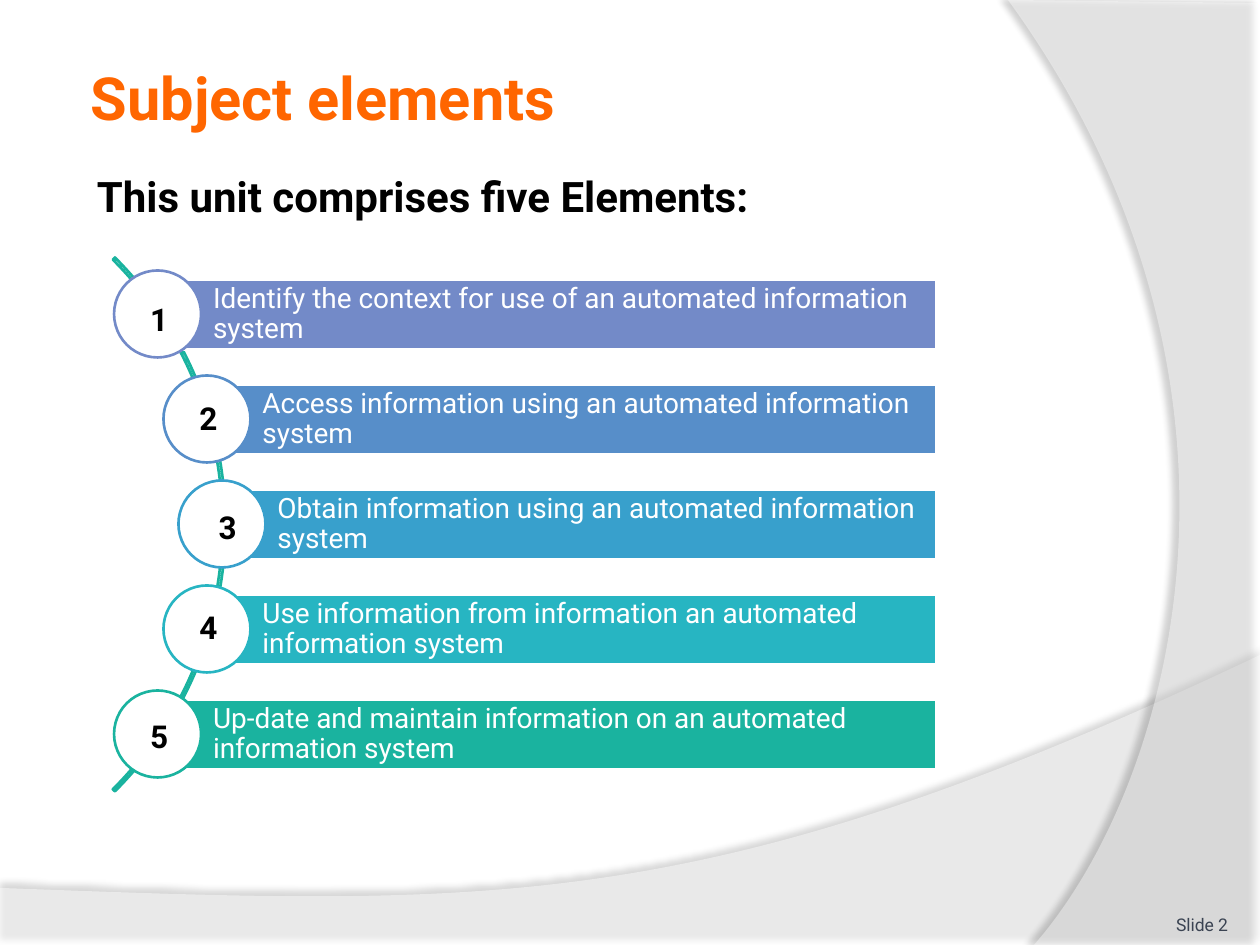
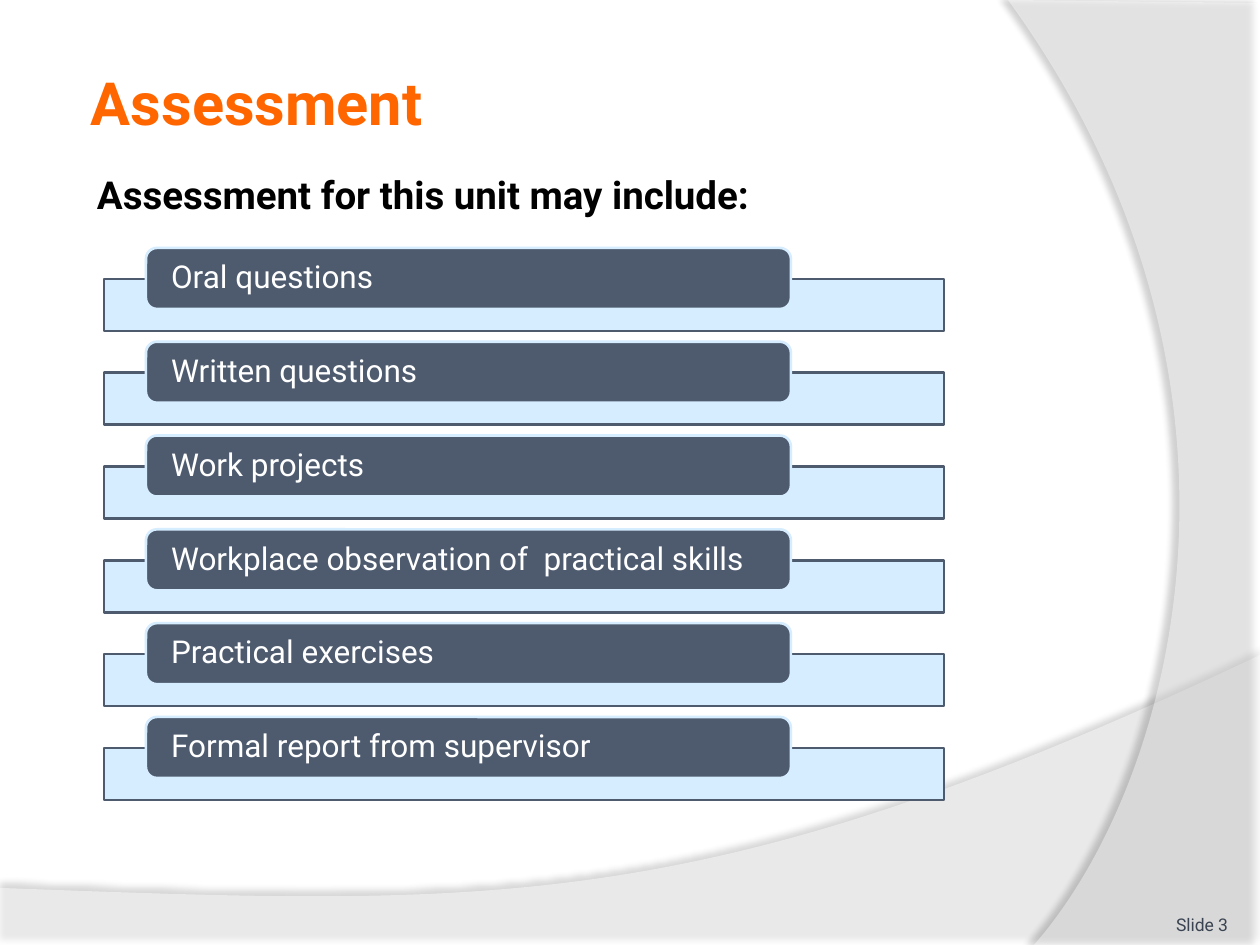
from math import sqrt

from lxml.etree import SubElement
from pptx import Presentation
from pptx.dml.color import RGBColor
from pptx.enum.shapes import MSO_SHAPE as Kind
from pptx.enum.text import MSO_ANCHOR as Anchor, PP_ALIGN as Align
from pptx.oxml.ns import qn
from pptx.util import Pt

PX = 914400 / 126
WIDE, HIGH = 1260, 945
FONT = "Roboto"
WHITE, BLACK = "FFFFFF", "000000"
ORANGE, INK = "FF6600", "3A4352"
SLATE, PALE, TEAL = "4E5B6F", "D6ECFF", "1AB39F"
INSET = (13, 6, 13, 6)


def px(*sizes):
    return [round(size * PX) for size in sizes]


def rgb(code):
    return RGBColor.from_string(code)


# Shared drawing helpers
def paint(shape, fill=None, line=None, alpha=100):
    shape.shadow.inherit = False
    if fill:
        shape.fill.solid()
        shape.fill.fore_color.rgb = rgb(fill)
        if alpha < 100:
            tint = shape.fill._xPr.find(qn("a:solidFill"))[0]
            SubElement(tint, qn("a:alpha"), val=str(alpha * 1000))
    else:
        shape.fill.background()
    if line:
        shape.line.color.rgb = rgb(line)
        shape.line.width = Pt(1.5)
    else:
        shape.line.fill.background()
    return shape


def draw(slide, kind, box, fill=None, line=None):
    return paint(slide.shapes.add_shape(kind, *px(*box)), fill, line)


def write(shape, text, size, color, bold=False, align=Align.LEFT,
          anchor=Anchor.TOP, inset=INSET, space=None):
    frame = shape.text_frame
    frame.word_wrap = True
    frame.vertical_anchor = anchor
    (frame.margin_left, frame.margin_top,
     frame.margin_right, frame.margin_bottom) = px(*inset)
    frame.text = text
    para = frame.paragraphs[0]
    para.alignment = align
    para.line_spacing = space
    font = para.runs[0].font
    font.name, font.size, font.bold = FONT, Pt(size), bold
    font.color.rgb = rgb(color)


def label(slide, box, text, size, color, **style):
    write(slide.shapes.add_textbox(*px(*box)), text, size, color, **style)


# Background band: straight edges, then one curve to the last corner
def band(slide, corners, bends, alpha, shade, dist, turn):
    first, *rest = [px(*corner) for corner in corners]
    path = slide.shapes.build_freeform(*first)
    path.add_line_segments(rest)
    shape = paint(path.convert_to_shape(), WHITE, alpha=alpha)

    edge = list(shape._element.iter(qn("a:lnTo")))[-1]
    edge.tag = qn("a:cubicBezTo")
    end = edge[0]
    for bend in bends:
        x, y = px(*bend)
        SubElement(edge, qn("a:pt"),
                   x=str(x - shape.left), y=str(y - shape.top))
    edge.append(end)

    cast = SubElement(shape._element.spPr.find(qn("a:effectLst")),
                      qn("a:outerShdw"), blurRad=str(Pt(4)),
                      dist=str(Pt(dist)), dir=str(turn * 60000),
                      algn="ctr", rotWithShape="0")
    black = SubElement(cast, qn("a:srgbClr"), val=BLACK)
    SubElement(black, qn("a:alpha"), val=str(shade * 1000))


# Bands, title, lead line and slide number
def base(deck, number, title, depth, lead, size, body):
    slide = deck.slides.add_slide(deck.slide_layouts[6])
    band(slide, [(0, 946), (WIDE, 946), (WIDE, 655), (0, 888)],
         [(704, 919), (493, 906)], 45, 35, 3.5, 270)
    band(slide, [(WIDE, 3), (WIDE, HIGH), (1034, HIGH), (1008, 0)],
         [(1178, 780), (1283, 378)], 40, 45, 4, 180)
    label(slide, (84, 45, 1029, depth), title, 34, ORANGE, bold=True,
          anchor=Anchor.MIDDLE, inset=(7, 8, 6, 6))
    label(slide, (84, 165, *body), lead, size, BLACK, bold=True)
    label(slide, (1124, 885, 104, 50), f"Slide {number}", 10, INK,
          align=Align.RIGHT, anchor=Anchor.BOTTOM, inset=(0, 0, 0, 0))
    return slide


# Numbered bars whose discs follow an arc
def steps(slide, box, items):
    left, top, wide, high = box
    mid, hub, reach = top + high / 2, left - 265, 377.5
    arc = draw(slide, Kind.BLOCK_ARC,
               (hub - reach, mid - reach, 2 * reach, 2 * reach), line=TEAL)
    for spot, value in enumerate((189, 27, 0.004)):
        arc.adjustments[spot] = value

    pitch, bar, disc = 105, 70, 87
    spots = []
    for row, (text, color, *nudge) in enumerate(items):
        rise = (row - (len(items) - 1) / 2) * pitch
        x, y = hub + sqrt((reach - 3)**2 - rise**2), mid + rise
        spots.append((x + nudge[0], y + nudge[1]))
        strip = draw(slide, Kind.RECTANGLE,
                     (x, y - bar / 2, left + wide - x, bar), color, WHITE)
        write(strip, text, 16, WHITE, space=0.9,
              anchor=Anchor.MIDDLE, inset=(55, 5, 5, 5))
        draw(slide, Kind.OVAL, (x - disc / 2 - 0.5, y - disc / 2 - 0.5,
                                disc, disc), WHITE, color)
    for number, (x, y) in enumerate(spots, 1):
        label(slide, (x - 35, y - 25, 70, 50), str(number), 18, BLACK,
              bold=True, align=Align.CENTER)


# Stacked trays, each with a rounded tab on top
def trays(slide, box, items):
    left, top, wide, high = box
    tray, tab, lift, edge = 52, 61, 31, 11
    gap = (high - lift - tray) / (len(items) - 1)
    for row, text in enumerate(items):
        y = top + row * gap
        draw(slide, Kind.RECTANGLE, (left, y + lift, wide, tray), PALE, SLATE)
        front = draw(slide, Kind.ROUNDED_RECTANGLE,
                     (left + 42, y, 645, tab), SLATE, PALE)
        front.adjustments[0] = edge / tab
        write(front, text, 18, WHITE, space=0.9,
              anchor=Anchor.MIDDLE, inset=(22, 3, 22, 3))


def main():
    deck = Presentation()
    deck.slide_width, deck.slide_height = px(WIDE, HIGH)

    slide = base(deck, 2, "Subject elements", 101,
                 "This unit comprises five Elements:", 24, (1091, 741))
    # Text, colour, and shift of the number from the disc centre
    steps(slide, (113, 258, 823, 533), [
        ("Identify the context for use of an automated information system",
         "738AC8", 1, 5),
        ("Access information using an automated information system",
         "578EC9", 1, -1),
        ("Obtain information using an automated information system",
         "38A0CC", 5, 3),
        ("Use information from information an automated information system",
         "27B5C2", 1, -2),
        ("Up-date and maintain information on an automated information system",
         TEAL, 1, 2),
    ])

    slide = base(deck, 3, "Assessment", 112,
                 "Assessment for this unit may include:", 22, (1029, 725))
    trays(slide, (104, 248, 840, 552), [
        "Oral questions", "Written questions", "Work projects",
        "Workplace observation of  practical skills",
        "Practical exercises", "Formal report from supervisor",
    ])
    deck.save("out.pptx")


if __name__ == "__main__":
    main()
